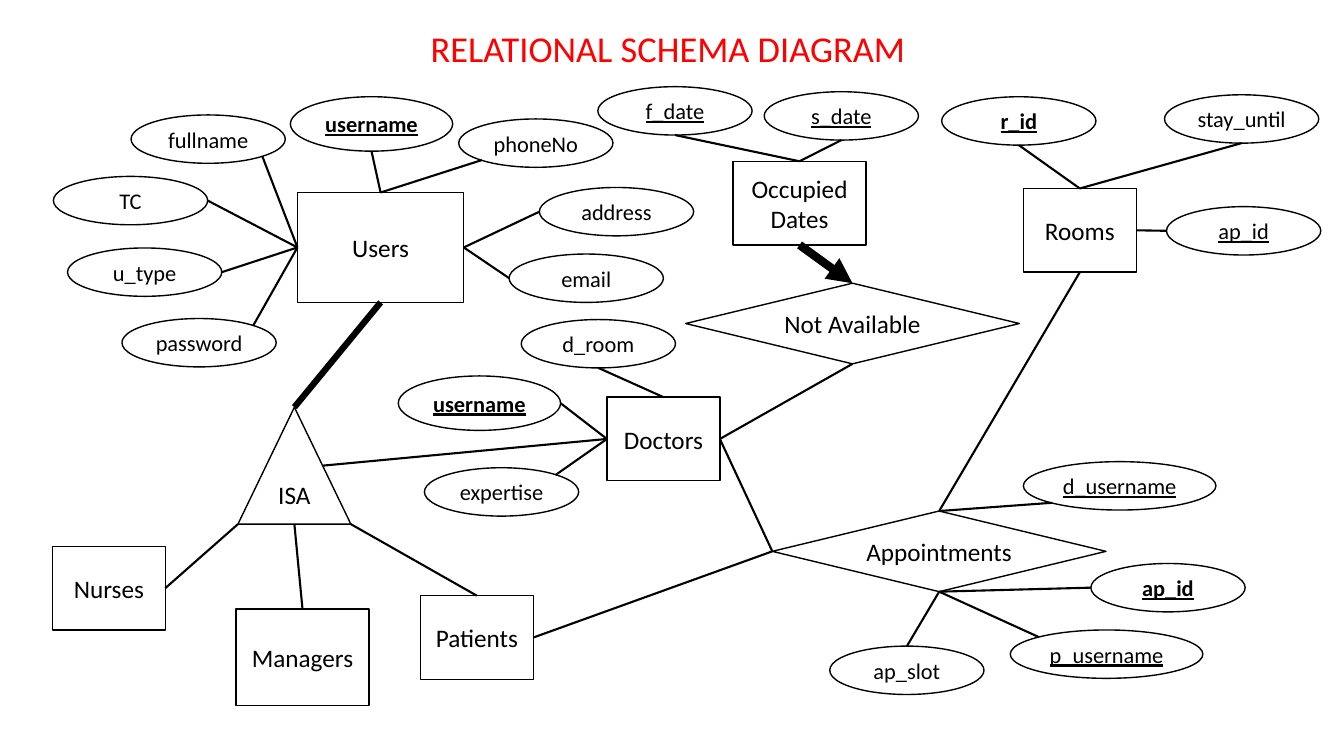
from lxml import etree
from pptx import Presentation
from pptx.dml.color import RGBColor
from pptx.enum.shapes import MSO_CONNECTOR, MSO_SHAPE
from pptx.enum.text import MSO_ANCHOR, MSO_AUTO_SIZE, PP_ALIGN
from pptx.oxml.ns import qn
from pptx.util import Inches, Pt

COLORS = {"title": "FF0000", "ink": "000000", "paper": "FFFFFF"}
FONT = "Calibri"
COLS, ROWS = 133.3, 75  # square grid cells of a tenth of an inch
CELL = Inches(0.1)

# Connection sites: side -> (site index, share of width, share of height)
NEAR, FAR = 0.15, 0.85
BOX_SITES = {"top": (0, 0.5, 0), "left": (1, 0, 0.5),
             "bottom": (2, 0.5, 1), "right": (3, 1, 0.5)}
OVAL_SITES = {"top": (0, 0.5, 0), "top left": (1, NEAR, NEAR),
              "left": (2, 0, 0.5), "bottom left": (3, NEAR, FAR),
              "bottom": (4, 0.5, 1), "bottom right": (5, FAR, FAR),
              "right": (6, 1, 0.5), "top right": (7, FAR, NEAR)}
TRIANGLE_SITES = {"top": (0, 0.5, 0), "bottom left": (2, 0, 1),
                  "bottom": (3, 0.5, 1), "bottom right": (4, 1, 1),
                  "right": (5, 0.75, 0.5)}

# Kind: preset, columns, rows, text size, filled, sites
KINDS = {
    "entity": (MSO_SHAPE.RECTANGLE, 11.2, 8.3, 18, True, BOX_SITES),
    "wide entity": (MSO_SHAPE.RECTANGLE, 13.2, 8.3, 18, True, BOX_SITES),
    "tall entity": (MSO_SHAPE.RECTANGLE, 13.2, 9.6, 18, True, BOX_SITES),
    "main entity": (MSO_SHAPE.RECTANGLE, 16.5, 10.9, 18, True, BOX_SITES),
    "relation": (MSO_SHAPE.DIAMOND, 33.1, 8, 18, False, BOX_SITES),
    "hierarchy": (MSO_SHAPE.ISOSCELES_TRIANGLE, 11.2, 11.6, 18, False, TRIANGLE_SITES),
    "attribute": (MSO_SHAPE.OVAL, 15.3, 4.8, 16, True, OVAL_SITES),
    "wide attribute": (MSO_SHAPE.OVAL, 19.1, 4.8, 16, True, OVAL_SITES),
    "user key": (MSO_SHAPE.OVAL, 16.1, 5.4, 16, True, OVAL_SITES),
}

# Entities, relations and the hierarchy: label, kind, column, row
NODES = [
    ("Users", "main entity", 29.5, 19.1),
    ("Doctors", "entity", 60.2, 39.4),
    ("Nurses", "entity", 5.2, 54.2),
    ("Managers", "tall entity", 23.4, 60.4),
    ("Patients", "entity", 41.7, 59.1),
    ("Rooms", "entity", 101.5, 18.7),
    ("Occupied Dates", "wide entity", 72.7, 16),
    ("ISA", "hierarchy", 23.6, 40.4),
    ("Not Available", "relation", 68, 28.1),
    ("Appointments", "relation", 76.6, 50.7),
]

# Attributes by owner: label, style, kind, column, row, own side, owner's side
ATTRIBUTES = {
    "Users": [
        ("fullname", "", "attribute", 13, 11.4, "bottom right", "left"),
        ("TC", "", "attribute", 5.3, 17.5, "right", "left"),
        ("u_type", "", "attribute", 6.7, 24.6, "right", "left"),
        ("password", "", "attribute", 12.1, 31.6, "top right", "left"),
        ("username", "bu", "user key", 28.8, 9.6, "bottom", "top"),
        ("phoneNo", "", "attribute", 45.5, 11.8, "bottom left", "top"),
        ("address", "", "attribute", 53.5, 18.6, "left", "right"),
        ("email", "", "attribute", 50.5, 25.2, "left", "right"),
    ],
    "Doctors": [
        ("d_room", "", "attribute", 51.7, 31.7, "bottom", "top"),
        ("username", "bu", "user key", 39.5, 37.3, "right", "left"),
        ("expertise", "", "attribute", 42.1, 46.4, "top right", "left"),
    ],
    "Occupied Dates": [
        ("f_date", "u", "attribute", 59.3, 8.6, "bottom", "top"),
        ("s_date", "u", "attribute", 75.8, 9.1, "bottom", "top"),
    ],
    "Rooms": [
        ("r_id", "bu", "attribute", 93.4, 9.6, "bottom", "top"),
        ("stay_until", "", "attribute", 115.5, 9.4, "bottom", "top"),
        ("ap_id", "u", "attribute", 115.7, 20.5, "left", "right"),
    ],
    "Appointments": [
        ("d_username", "u", "wide attribute", 101.5, 45.8, "bottom left", "top"),
        ("ap_id", "bu", "attribute", 108.2, 55.9, "left", "bottom"),
        ("p_username", "u", "wide attribute", 100.2, 62.5, "top left", "bottom"),
        ("ap_slot", "", "attribute", 82.3, 64.1, "top", "bottom"),
    ],
}

# Links between nodes: start, side, end, side, line width, arrow
LINKS = [
    ("ISA", "top", "Users", "bottom", 4.5, False),
    ("Nurses", "right", "ISA", "bottom left", 1.5, False),
    ("Managers", "top", "ISA", "bottom", 1.5, False),
    ("Patients", "top", "ISA", "bottom right", 1.5, False),
    ("ISA", "right", "Doctors", "left", 1.5, False),
    ("Doctors", "right", "Not Available", "bottom", 1.5, False),
    ("Doctors", "right", "Appointments", "left", 1.5, False),
    ("Patients", "right", "Appointments", "left", 1.5, False),
    ("Rooms", "bottom", "Appointments", "top", 1.5, False),
    ("Occupied Dates", "bottom", "Not Available", "top", 6, True),
]


def cells(count):
    return round(count * CELL)


def color(name):
    return RGBColor.from_string(COLORS[name])


def write(frame, text, size, ink, align, style=""):
    paragraph = frame.paragraphs[0]
    paragraph.alignment = align
    run = paragraph.add_run()
    run.text = text
    font = run.font
    font.name, font.size = FONT, Pt(size)
    font.color.rgb = color(ink)
    font.bold, font.underline = "b" in style, "u" in style


def add_title(slide, text):
    title = slide.shapes.title
    title.left, title.top = cells(41.7), cells(2.1)
    title.width, title.height = cells(49.5), cells(5.4)
    frame = title.text_frame
    frame.word_wrap = False
    frame.auto_size = MSO_AUTO_SIZE.NONE
    frame.vertical_anchor = MSO_ANCHOR.MIDDLE
    write(frame, text, 26, "title", PP_ALIGN.LEFT)


def add_node(slide, label, kind, column, row, style=""):
    """Draw a labelled shape; return it with its connection sites."""
    preset, width, height, size, filled, sites = KINDS[kind]
    shape = slide.shapes.add_shape(
        preset, cells(column), cells(row), cells(width), cells(height))
    shape.shadow.inherit = False
    if filled:
        shape.fill.solid()
        shape.fill.fore_color.rgb = color("paper")
    else:
        shape.fill.background()
    shape.line.color.rgb = color("ink")
    shape.line.width = Pt(1)
    frame = shape.text_frame
    frame.margin_left = frame.margin_right = 0
    frame.vertical_anchor = MSO_ANCHOR.MIDDLE
    write(frame, label, size, "ink", PP_ALIGN.CENTER, style)
    return shape, sites


def add_link(slide, start, start_side, end, end_side, width=1.5, arrow=False):
    """Join two nodes, glued at the named sides."""
    points, glue = [], []
    for (shape, sites), side in ((start, start_side), (end, end_side)):
        site, across, down = sites[side]
        points += [round(shape.left + across * shape.width),
                   round(shape.top + down * shape.height)]
        glue.append({"id": str(shape.shape_id), "idx": str(site)})
    link = slide.shapes.add_connector(MSO_CONNECTOR.STRAIGHT, *points)
    link.line.color.rgb = color("ink")
    link.line.width = Pt(width)
    properties = link._element.spPr
    if arrow:
        etree.SubElement(properties.find(qn("a:ln")), qn("a:tailEnd"), type="triangle")
    etree.SubElement(properties, qn("a:effectLst"))
    joints = link._element.find(".//" + qn("p:cNvCxnSpPr"))
    for tag, ends in zip(("a:stCxn", "a:endCxn"), glue):
        etree.SubElement(joints, qn(tag), ends)


def main():
    deck = Presentation()
    deck.slide_width, deck.slide_height = cells(COLS), cells(ROWS)
    slide = deck.slides.add_slide(deck.slide_layouts[5])
    add_title(slide, "RELATIONAL SCHEMA DIAGRAM")

    # Entities and relations
    nodes = {node[0]: add_node(slide, *node) for node in NODES}

    # Attributes, each joined to its owner
    for owner, attributes in ATTRIBUTES.items():
        for label, style, kind, column, row, side, owner_side in attributes:
            attribute = add_node(slide, label, kind, column, row, style)
            add_link(slide, attribute, side, nodes[owner], owner_side)

    # Links between entities and relations
    for start, start_side, end, end_side, width, arrow in LINKS:
        add_link(slide, nodes[start], start_side, nodes[end], end_side, width, arrow)

    deck.save("out.pptx")


main()
